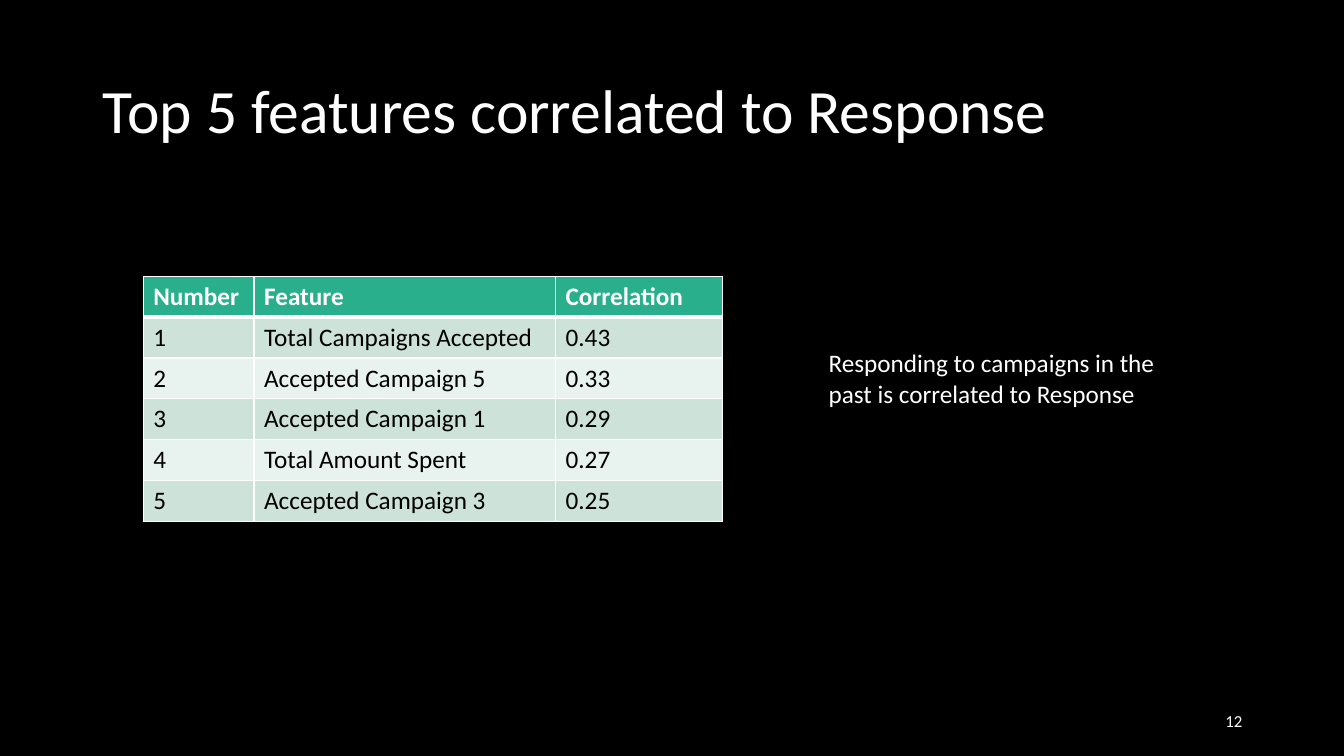
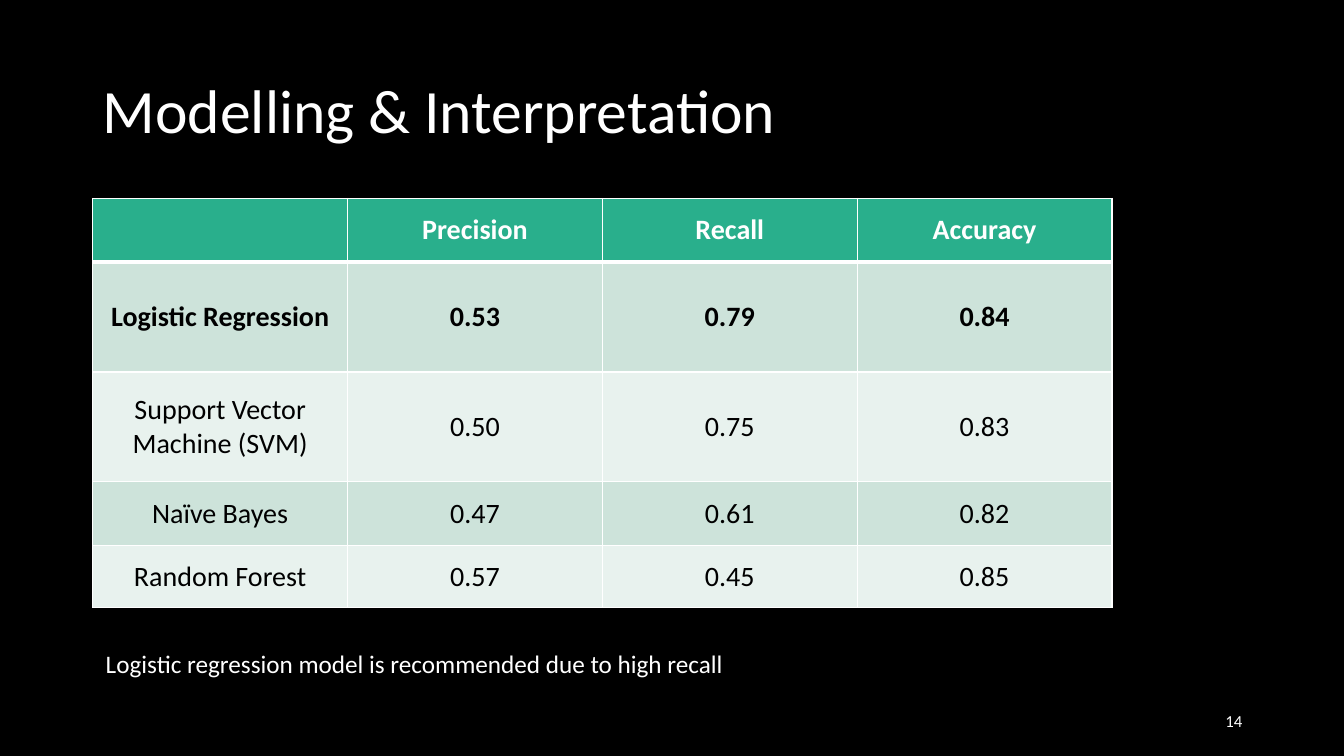
from lxml import etree
from pptx import Presentation
from pptx.dml.color import RGBColor
from pptx.enum.text import MSO_ANCHOR, MSO_AUTO_SIZE, PP_ALIGN
from pptx.oxml.ns import qn
from pptx.util import Inches, Pt

LEFT, CENTER, RIGHT = PP_ALIGN.LEFT, PP_ALIGN.CENTER, PP_ALIGN.RIGHT
TOP, MIDDLE = MSO_ANCHOR.TOP, MSO_ANCHOR.MIDDLE
FIXED, GROW = MSO_AUTO_SIZE.NONE, MSO_AUTO_SIZE.SHAPE_TO_FIT_TEXT

COLORS = {
    "back": "000000",
    "light": "FFFFFF",
    "dark": "000000",
    "head": "29AF8C",
    "odd": "CDE3DA",
    "even": "E8F2EE",
}
FONT = "Calibri"
TITLE_BOX = (0.92, 0.4, 11.5, 1.45)
NUMBER_BOX = (9.42, 6.95, 3, 0.4)


def color(name):
    return RGBColor.from_string(COLORS[name])


def write(frame, text, size, tone="light", bold=False, align=LEFT):
    par = frame.paragraphs[0]
    par.alignment = align
    run = par.add_run()
    run.text = text
    font = run.font
    font.name, font.size, font.bold = FONT, Pt(size), bold
    font.color.rgb = color(tone)
    return par


def add_text(slide, box, text, size, align=LEFT, anchor=TOP, fit=GROW):
    frame = slide.shapes.add_textbox(*map(Inches, box)).text_frame
    frame.word_wrap = True
    frame.auto_size = fit
    frame.vertical_anchor = anchor
    write(frame, text, size, align=align)


def add_slide(deck, title, number):
    slide = deck.slides.add_slide(deck.slide_layouts[5])
    head = slide.shapes.title
    head.left, head.top, head.width, head.height = map(Inches, TITLE_BOX)
    frame = head.text_frame
    frame.word_wrap = True
    frame.auto_size = FIXED
    frame.vertical_anchor = MIDDLE
    write(frame, title, 44).line_spacing = 0.9
    add_text(slide, NUMBER_BOX, number, 12, RIGHT, MIDDLE, FIXED)
    return slide


def add_edge(cell, side, width):
    props = cell._tc.get_or_add_tcPr()
    line = etree.SubElement(props, qn(f"a:ln{side}"), w=str(Pt(width)))
    fill = etree.SubElement(line, qn("a:solidFill"))
    etree.SubElement(fill, qn("a:srgbClr"), val=COLORS["light"])


def style_cell(cell, row):
    for side in "LRTB":
        thick = (row, side) in ((0, "B"), (1, "T"))
        add_edge(cell, side, 3 if thick else 1)
    cell.fill.solid()
    band = "odd" if row % 2 else "even"
    cell.fill.fore_color.rgb = color(band if row else "head")


def add_grid(slide, box, data, cols, rows, size, bold=(0,),
             align=LEFT, anchor=TOP):
    shape = slide.shapes.add_table(len(data), len(cols), *map(Inches, box))
    table = shape.table
    for col, width in zip(table.columns, cols):
        col.width = Inches(width)
    for row, height in zip(table.rows, rows):
        row.height = Inches(height)
    for r, line in enumerate(data):
        for c, text in enumerate(line):
            cell = table.cell(r, c)
            style_cell(cell, r)
            cell.vertical_anchor = anchor
            if text:
                tone = "dark" if r else "light"
                write(cell.text_frame, text, size, tone, r in bold, align)


def add_features(deck):
    slide = add_slide(deck, "Top 5 features correlated to Response", "12")
    data = [
        ("Number", "Feature", "Correlation"),
        ("1", "Total Campaigns Accepted", "0.43"),
        ("2", "Accepted Campaign 5", "0.33"),
        ("3", "Accepted Campaign 1", "0.29"),
        ("4", "Total Amount Spent", "0.27"),
        ("5", "Accepted Campaign 3", "0.25"),
    ]
    add_grid(slide, (1.42, 2.74, 5.75, 2.43), data,
             (1.1, 2.99, 1.66), [2.43 / len(data)] * len(data), 18)
    add_text(slide, (8.12, 3.4, 3.8, 0.71),
             "Responding to campaigns in the past is correlated to Response",
             18)


def add_models(deck):
    slide = add_slide(deck, "Modelling & Interpretation", "14")
    data = [
        ("", "Precision", "Recall", "Accuracy"),
        ("Logistic Regression", "0.53", "0.79", "0.84"),
        ("Support Vector Machine (SVM)", "0.50", "0.75", "0.83"),
        ("Naïve Bayes", "0.47", "0.61", "0.82"),
        ("Random Forest", "0.57", "0.45", "0.85"),
    ]
    add_grid(slide, (0.92, 1.97, 10.11, 4.06), data, [10.11 / 4] * 4,
             (0.63, 1.09, 1.09, 0.63, 0.62), 20, (0, 1), CENTER, MIDDLE)
    add_text(slide, (0.95, 6.38, 7.79, 0.4),
             "Logistic regression model is recommended due to high recall",
             18)


def main():
    deck = Presentation()
    deck.slide_width, deck.slide_height = Inches(13.33), Inches(7.5)
    fill = deck.slide_master.background.fill
    fill.solid()
    fill.fore_color.rgb = color("back")
    add_features(deck)
    add_models(deck)
    deck.save("out.pptx")


if __name__ == "__main__":
    main()
